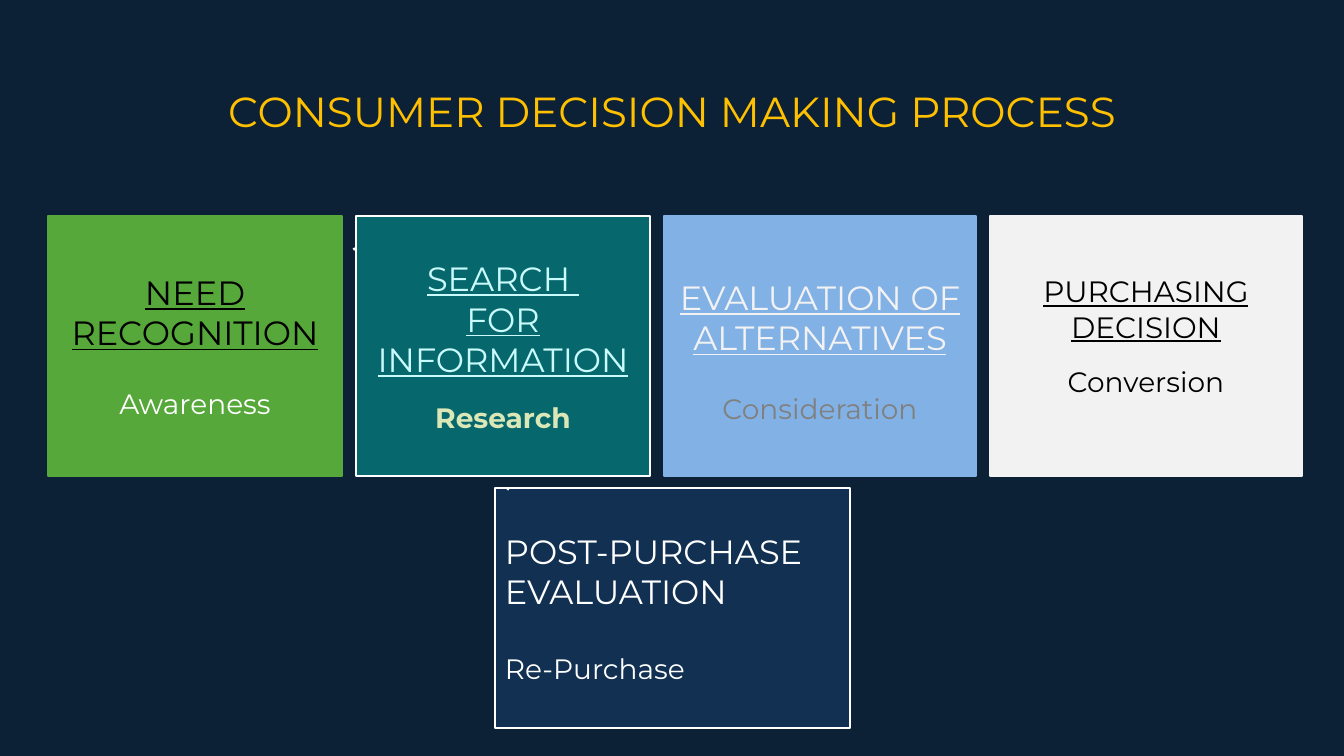
from pptx import Presentation
from pptx.dml.color import RGBColor
from pptx.enum.shapes import MSO_SHAPE
from pptx.enum.text import MSO_ANCHOR, MSO_AUTO_SIZE, PP_ALIGN
from pptx.util import Emu, Pt

FONT = "Montserrat"
NAVY = RGBColor(0x0C, 0x20, 0x36)
BLUE = RGBColor(0x11, 0x30, 0x52)
GOLD = RGBColor(0xFF, 0xC0, 0x00)
GREEN = RGBColor(0x55, 0xA8, 0x39)
TEAL = RGBColor(0x06, 0x68, 0x6C)
SKY = RGBColor(0x82, 0xB1, 0xE5)
PALE = RGBColor(0xF2, 0xF2, 0xF2)
GREY = RGBColor(0x80, 0x80, 0x80)
ICE = RGBColor(0xC9, 0xFA, 0xFC)
LIME = RGBColor(0xDB, 0xE7, 0xB6)
WHITE = RGBColor(0xFF, 0xFF, 0xFF)
BLACK = RGBColor(0x00, 0x00, 0x00)


def px(n):
    return Emu(round(n * 914400 / 100.8))


def write(para, text, size, color, align=PP_ALIGN.CENTER):
    para.alignment = align
    run = para.add_run()
    run.text = text
    font = run.font
    font.name = FONT
    font.size = Pt(size)
    font.color.rgb = color
    return font


# Slide and background
deck = Presentation()
deck.slide_width, deck.slide_height = px(1344), px(756)
slide = deck.slides.add_slide(deck.slide_layouts[5])
slide.background.fill.solid()
slide.background.fill.fore_color.rgb = NAVY

# Title
title = slide.shapes.title
title.left, title.top, title.width, title.height = px(42), px(80), px(1260), px(61)
frame = title.text_frame
frame.auto_size = MSO_AUTO_SIZE.SHAPE_TO_FIT_TEXT
frame.vertical_anchor = MSO_ANCHOR.TOP
write(frame.paragraphs[0], "CONSUMER DECISION MAKING PROCESS", 30, GOLD)

# Row of four stages, then the last stage below
RECT, CALL = MSO_SHAPE.RECTANGLE, MSO_SHAPE.LINE_CALLOUT_1
TOP, HIGH, GAP = 216, 260, 14
wides = [294, 294, 312, 312]
spots = [(48 + sum(wides[:i]) + GAP * i, TOP, wide, HIGH)
         for i, wide in enumerate(wides)]
spots.append((495, 488, 355, 240))

# kind, callout points, fill, line, heading lines, size, colour,
# stage name, colour, gap in points, top and bottom inset in px
stages = [
    (RECT, [], GREEN, GREEN, ["NEED RECOGNITION"], 24, BLACK,
     "Awareness", WHITE, 24, 5, 5),
    (CALL, [0.123, -0.008, 0.132, -0.004], TEAL, WHITE,
     ["SEARCH ", "FOR INFORMATION"], 24, ICE, "Research", LIME, 15, 5, 5),
    (RECT, [], SKY, SKY, ["EVALUATION OF ALTERNATIVES"], 24, PALE,
     "Consideration", GREY, 24, 15, 5),
    (RECT, [], PALE, PALE, ["PURCHASING DECISION"], 21, BLACK,
     "Conversion", BLACK, 15, 5, 25),
    (CALL, [0.009, 0.036, -0.003, 0.038], BLUE, WHITE,
     ["POST-PURCHASE EVALUATION"], 24, WHITE, "Re-Purchase", WHITE, 29, 5, 5),
]

for spot, stage in zip(spots, stages):
    kind, points, fill, line, heads, size, ink, name, tint, gap, top, base = stage
    box = slide.shapes.add_shape(kind, *map(px, spot))
    box.shadow.inherit = False
    for i, point in enumerate(points):
        box.adjustments[i] = point
    box.fill.solid()
    box.fill.fore_color.rgb = fill
    box.line.color.rgb = line
    box.line.width = Pt(1.5)

    # Heading and stage name
    last = spot == spots[-1]
    align = PP_ALIGN.JUSTIFY if last else PP_ALIGN.CENTER
    frame = box.text_frame
    frame.word_wrap = True
    frame.vertical_anchor = MSO_ANCHOR.MIDDLE
    frame.margin_top, frame.margin_bottom = px(top), px(base)
    for i, head in enumerate(heads):
        para = frame.add_paragraph() if i else frame.paragraphs[0]
        font = write(para, head, size, ink, align)
        font.underline = not last
    para = frame.add_paragraph()
    para.space_before = Pt(gap)
    font = write(para, name, 20, tint, align)
    font.bold = name == "Research"

deck.save("out.pptx")
